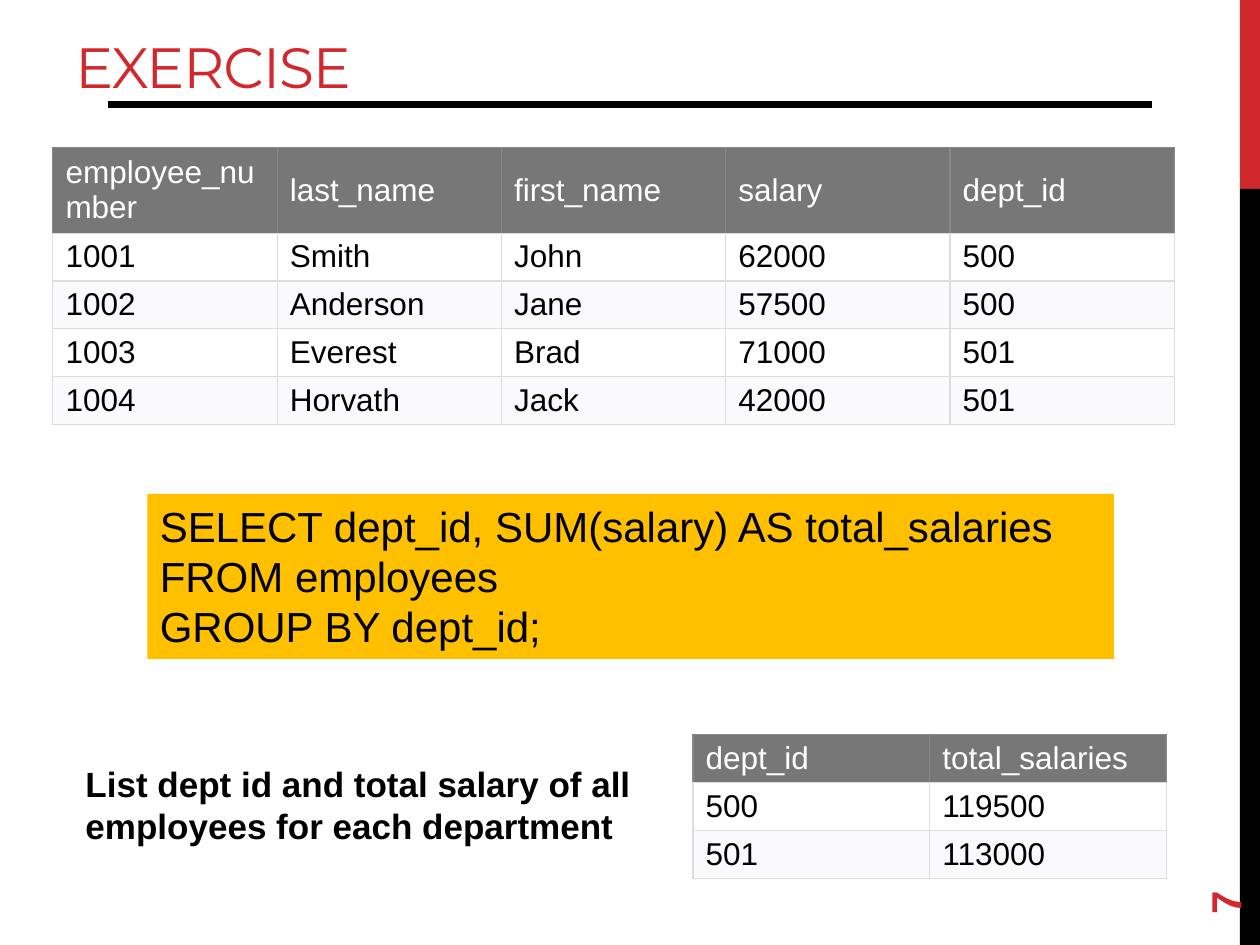
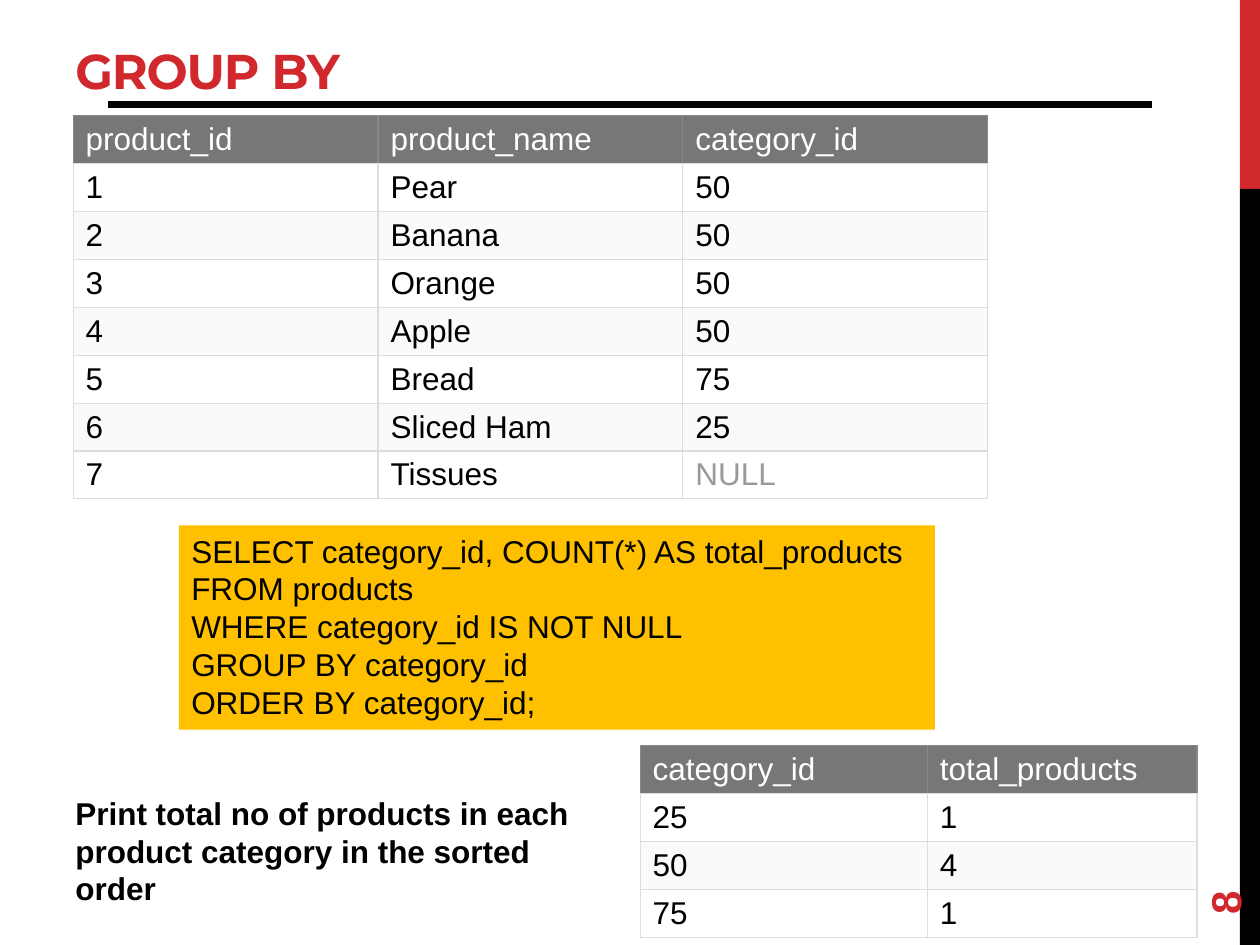
"""Builds two SQL grouping slides with tables, queries and tasks."""
from dataclasses import dataclass

from lxml import etree
from pptx import Presentation
from pptx.dml.color import RGBColor
from pptx.enum import shapes, text
from pptx.oxml import ns
from pptx.util import Inches, Pt


@dataclass(frozen=True)
class Theme:
    red: str = "D1282E"
    black: str = "000000"
    white: str = "FFFFFF"
    band: str = "FAFAFD"
    head: str = "777777"
    edge: str = "888888"
    grid: str = "DDDDDD"
    mute: str = "999999"
    gold: str = "FFC000"
    body: str = "Arial"
    display: str = "Montserrat"
    cell: float = 18
    page: float = 24
    rule: float = 4
    hair: float = 0.75


@dataclass(frozen=True)
class Box:
    left: float
    top: float
    width: float
    height: float

    def emu(self) -> list:
        return [Inches(n) for n in (self.left, self.top, self.width, self.height)]


@dataclass(frozen=True)
class Style:
    size: float
    color: str
    bold: bool = False
    font: str = Theme.body
    space: int = 0


@dataclass(frozen=True)
class Grid:
    left: float
    top: float
    cols: tuple
    rows: tuple
    first: float = 0.365
    step: float = 0.365


@dataclass(frozen=True)
class Note:
    box: Box
    lines: tuple
    size: float


@dataclass(frozen=True)
class Page:
    number: str
    title: str
    style: Style
    data: Grid
    result: Grid
    query: Note
    task: Note


T = Theme()


def write(frame, lines: tuple, style: Style, anchor=text.MSO_ANCHOR.TOP) -> None:
    frame.word_wrap = True
    frame.vertical_anchor = anchor
    for i, line in enumerate(lines):
        para = frame.add_paragraph() if i else frame.paragraphs[0]
        para.alignment = text.PP_ALIGN.LEFT
        run = para.add_run()
        run.text = line
        font = run.font
        font.name, font.size, font.bold = style.font, Pt(style.size), style.bold
        font.color.rgb = RGBColor.from_string(style.color)
        if style.space:
            font._element.set("spc", str(style.space))


def block(slide, box: Box, color: str):
    shape = slide.shapes.add_shape(shapes.MSO_SHAPE.RECTANGLE, *box.emu())
    shape.shadow.inherit = False
    shape.fill.solid()
    shape.fill.fore_color.rgb = RGBColor.from_string(color)
    shape.line.fill.background()
    return shape


def label(slide, box: Box, lines: tuple, style: Style, anchor=text.MSO_ANCHOR.TOP):
    shape = slide.shapes.add_textbox(*box.emu())
    write(shape.text_frame, lines, style, anchor)
    return shape


def border(cell, top: bool) -> None:
    props = cell._tc.get_or_add_tcPr()
    for i, side in enumerate("LRTB"):
        color = T.edge if top and side != "B" else T.grid
        line = etree.Element(ns.qn(f"a:ln{side}"), w=str(Pt(T.hair)))
        fill = etree.SubElement(line, ns.qn("a:solidFill"))
        etree.SubElement(fill, ns.qn("a:srgbClr"), val=color)
        props.insert(i, line)


def table(slide, grid: Grid) -> None:
    high = grid.first + grid.step * (len(grid.rows) - 1)
    box = Box(grid.left, grid.top, sum(grid.cols), high)
    item = slide.shapes.add_table(len(grid.rows), len(grid.cols), *box.emu()).table
    item.first_row = item.horz_banding = False
    for col, width in zip(item.columns, grid.cols):
        col.width = Inches(width)
    for r, row in enumerate(grid.rows):
        item.rows[r].height = Inches(grid.step if r else grid.first)
        fill = (T.white if r % 2 else T.band) if r else T.head
        for c, word in enumerate(row):
            cell = item.cell(r, c)
            cell.margin_left = cell.margin_right = Inches(0.1)
            cell.margin_top = cell.margin_bottom = Inches(0.04)
            cell.fill.solid()
            cell.fill.fore_color.rgb = RGBColor.from_string(fill)
            color = T.mute if word == "NULL" else T.black if r else T.white
            write(cell.text_frame, (word,), Style(T.cell, color))
            cell.vertical_anchor = text.MSO_ANCHOR.MIDDLE
            border(cell, r == 0)


def frame(slide, page: Page) -> None:
    block(slide, Box(9.84, 0, 0.16, 1.5), T.red)
    block(slide, Box(9.84, 1.5, 0.16, 6), T.black)
    ends = [Inches(n) for n in (0.86, 0.83, 9.14, 0.83)]
    rule = slide.shapes.add_connector(shapes.MSO_CONNECTOR.STRAIGHT, *ends)
    rule.line.color.rgb = RGBColor.from_string(T.black)
    rule.line.width = Pt(T.rule)
    etree.SubElement(rule._element.spPr, ns.qn("a:effectLst"))
    label(slide, Box(0.5, 0.17, 9.33, 0.67), (page.title,), page.style,
          text.MSO_ANCHOR.BOTTOM)
    mark = label(slide, Box(9, 6.44, 1.44, 0.4), (page.number,),
                 Style(T.page, T.red, True), text.MSO_ANCHOR.MIDDLE)
    mark.rotation = 270


def draw(deck, page: Page) -> None:
    slide = deck.slides.add_slide(deck.slide_layouts[6])
    frame(slide, page)
    table(slide, page.data)
    table(slide, page.result)
    query, task = page.query, page.task
    shape = block(slide, query.box, T.gold)
    write(shape.text_frame, query.lines, Style(query.size, T.black))
    label(slide, task.box, task.lines, Style(task.size, T.black, True))


PAGES = (
    Page(
        "7", "EXERCISE", Style(32.4, T.red, False, T.display, -60),
        Grid(0.42, 1.17, (1.78,) * 5, (
            ("employee_number", "last_name", "first_name", "salary", "dept_id"),
            ("1001", "Smith", "John", "62000", "500"),
            ("1002", "Anderson", "Jane", "57500", "500"),
            ("1003", "Everest", "Brad", "71000", "501"),
            ("1004", "Horvath", "Jack", "42000", "501"),
        ), first=0.64),
        Grid(5.5, 5.83, (1.88,) * 2, (
            ("dept_id", "total_salaries"), ("500", "119500"), ("501", "113000"),
        )),
        Note(Box(1.17, 3.92, 7.67, 1.31), (
            "SELECT dept_id, SUM(salary) AS total_salaries FROM employees",
            "GROUP BY dept_id;",
        ), 24),
        Note(Box(0.58, 6, 4.65, 0.77), (
            "List dept id and total salary of all employees for each department",
        ), 20),
    ),
    Page(
        "8", "GROUP BY", Style(27.9, T.red, True, T.display, -60),
        Grid(0.58, 0.92, (2.42,) * 3, (
            ("product_id", "product_name", "category_id"),
            ("1", "Pear", "50"),
            ("2", "Banana", "50"),
            ("3", "Orange", "50"),
            ("4", "Apple", "50"),
            ("5", "Bread", "75"),
            ("6", "Sliced Ham", "25"),
            ("7", "Tissues", "NULL"),
        )),
        Grid(5.08, 5.92, (2.28, 2.14), (
            ("category_id", "total_products"), ("25", "1"), ("50", "4"), ("75", "1"),
        )),
        Note(Box(1.42, 4.17, 6, 1.62), (
            "SELECT category_id, COUNT(*) AS total_products FROM products",
            "WHERE category_id IS NOT NULL",
            "GROUP BY category_id",
            "ORDER BY category_id;",
        ), 18),
        Note(Box(0.5, 6.25, 4.5, 1.01), (
            "Print total no of products in each product category in the sorted order",
        ), 18),
    ),
)


def main() -> None:
    deck = Presentation()
    deck.slide_width, deck.slide_height = Inches(10), Inches(7.5)
    for page in PAGES:
        draw(deck, page)
    deck.save("out.pptx")


main()
